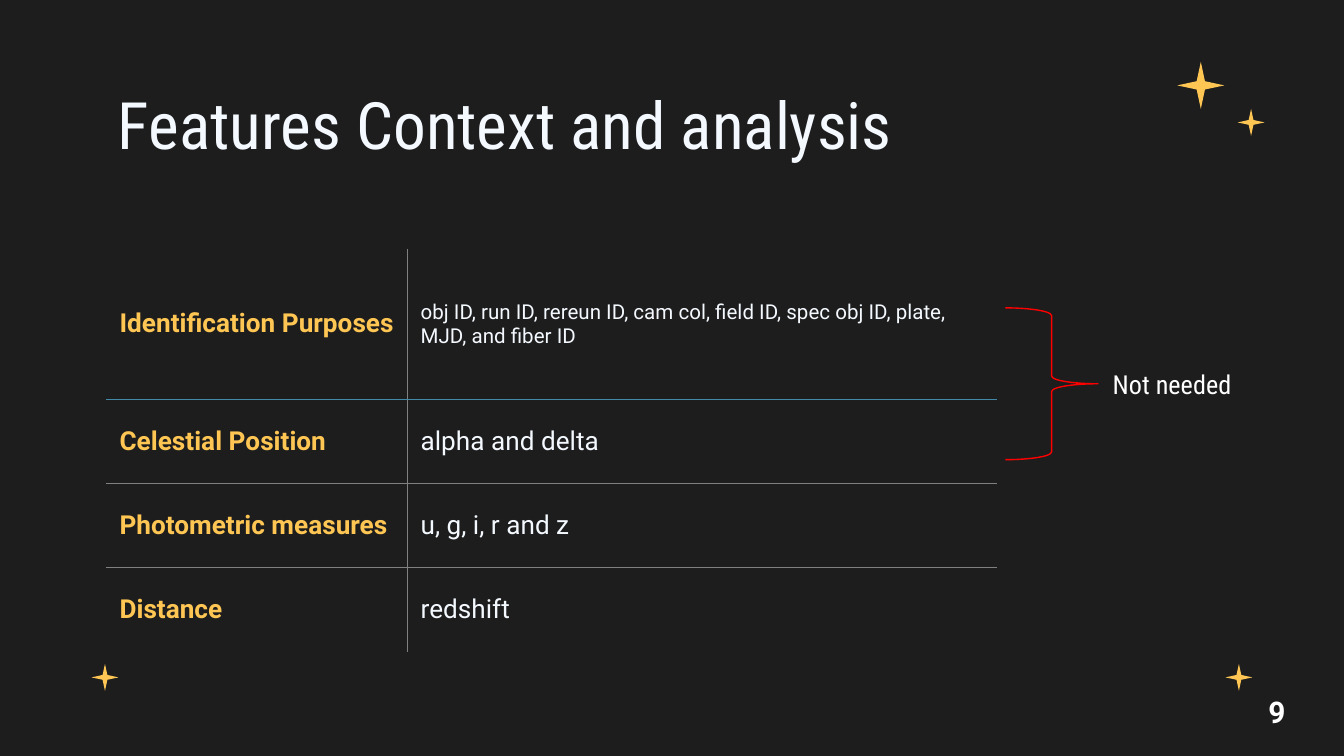
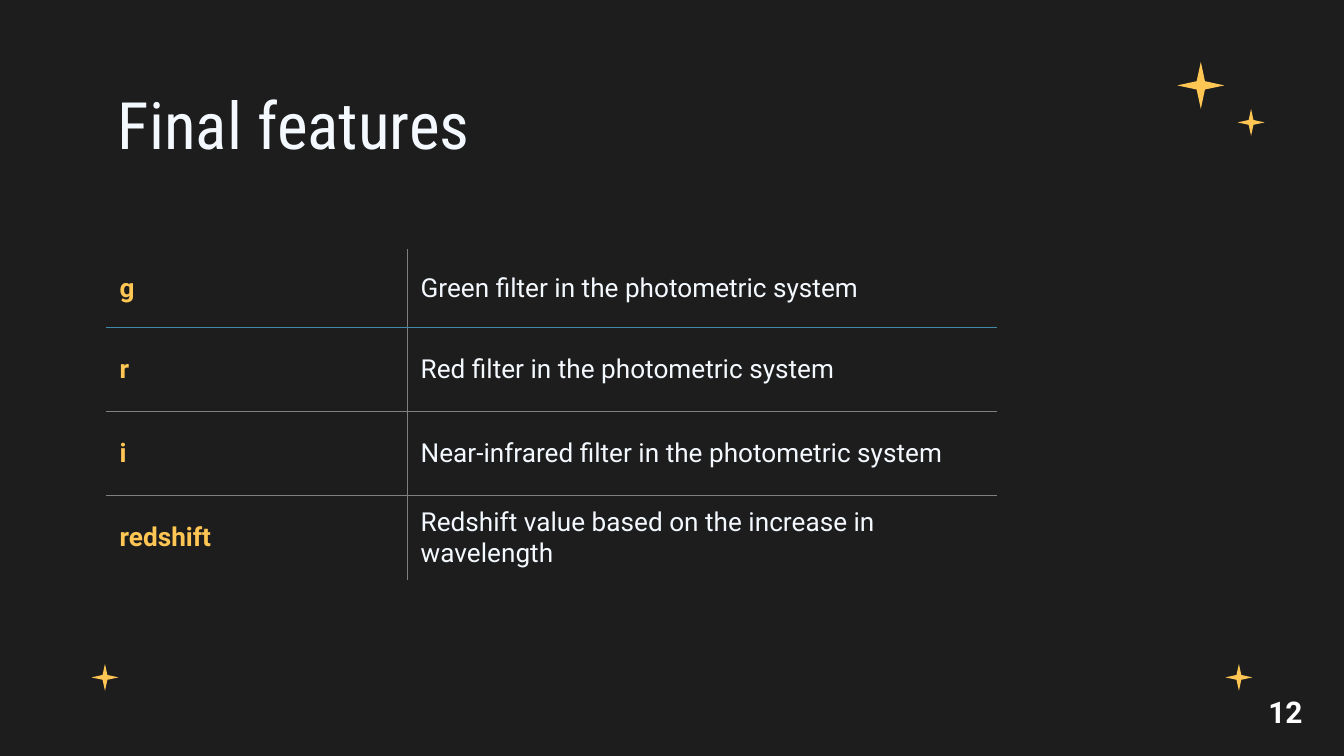
import pptx
import pptx.dml.color
import pptx.enum.shapes
import pptx.enum.text
import pptx.oxml
import pptx.oxml.ns
import pptx.util
from pptx.util import Cm

NIGHT = pptx.dml.color.RGBColor(0x1D, 0x1D, 0x1D)
GOLD = pptx.dml.color.RGBColor(0xFF, 0xC6, 0x54)
PALE = pptx.dml.color.RGBColor(0xF4, 0xF9, 0xFF)
WHITE = pptx.dml.color.RGBColor(0xFF, 0xFF, 0xFF)
RED = pptx.dml.color.RGBColor(0xFF, 0x00, 0x00)
BLUE = pptx.dml.color.RGBColor(0x42, 0x8A, 0xA8)
GREY = pptx.dml.color.RGBColor(0x80, 0x80, 0x80)
BODY = "Roboto"
HEADING = "Roboto Condensed"

STARS = [(1.73, 12.55, 0.51), (23.16, 12.55, 0.51), (22.25, 1.17, 0.89), (23.39, 2.06, 0.51)]

PAGES = [
    ("Features Context and analysis", "9", 2.85, [
        ("Identification Purposes",
         "obj ID, run ID, rereun ID, cam col, field ID, spec obj ID, plate, MJD, and fiber ID", 11),
        ("Celestial Position", "alpha and delta", 14),
        ("Photometric measures", "u, g, i, r and z", 14),
        ("Distance", "redshift", 14),
    ]),
    ("Final features", "12", 1.49, [
        ("g", "Green filter in the photometric system", 14),
        ("r", "Red filter in the photometric system", 14),
        ("i", "Near-infrared filter in the photometric system", 14),
        ("redshift", "Redshift value based on the increase in wavelength", 14),
    ]),
]


def write(frame, text, font, size, color, bold=False):
    frame.word_wrap = True
    paragraph = frame.paragraphs[0]
    paragraph.text = text
    paragraph.font.name = font
    paragraph.font.size = pptx.util.Pt(size)
    paragraph.font.color.rgb = color
    paragraph.font.bold = bold
    return paragraph


def border(cell, side, color):
    fill = f'<a:solidFill><a:srgbClr val="{color}"/></a:solidFill>' if color else "<a:noFill/>"
    cell._tc.get_or_add_tcPr().append(pptx.oxml.parse_xml(
        f'<a:ln{side} {pptx.oxml.ns.nsdecls("a")} w="9525">{fill}</a:ln{side}>'))


deck = pptx.Presentation()
deck.slide_width = Cm(25.4)
deck.slide_height = Cm(14.29)
background = deck.slide_master.background.fill
background.solid()
background.fore_color.rgb = NIGHT

for title, number, first_height, features in PAGES:
    slide = deck.slides.add_slide(deck.slide_layouts[6])

    for left, top, size in STARS:
        star = slide.shapes.add_shape(
            pptx.enum.shapes.MSO_SHAPE.STAR_4_POINT, Cm(left), Cm(top), Cm(size), Cm(size))
        star.adjustments[0] = 0.125
        star.shadow.inherit = False
        star.fill.solid()
        star.fill.fore_color.rgb = GOLD
        star.line.fill.background()

    heading = slide.shapes.add_textbox(Cm(1.98), Cm(1.24), Cm(21.44), Cm(1.6)).text_frame
    heading.margin_top = Cm(0.36)
    write(heading, title, HEADING, 35, PALE)

    table = slide.shapes.add_table(
        len(features), 2, Cm(2.01), Cm(4.7), Cm(16.84), Cm(first_height + 4.77)).table
    table.first_row = False
    table.horz_banding = False
    table.columns[0].width = Cm(5.69)
    table.columns[1].width = Cm(11.15)
    last = len(features) - 1
    for row, (label, detail, detail_size) in enumerate(features):
        table.rows[row].height = Cm(first_height if row == 0 else 1.59)
        above = (None, BLUE)[row] if row < 2 else GREY
        below = BLUE if row == 0 else None if row == last else GREY
        for column in range(2):
            cell = table.cell(row, column)
            cell.vertical_anchor = pptx.enum.text.MSO_ANCHOR.MIDDLE
            cell.margin_left = cell.margin_right = Cm(0.25)
            cell.margin_top = cell.margin_bottom = 0
            border(cell, "L", GREY if column == 1 else None)
            border(cell, "R", GREY if column == 0 else None)
            border(cell, "T", above)
            border(cell, "B", below)
            cell.fill.background()
        write(table.cell(row, 0).text_frame, label, BODY, 14, GOLD, True)
        description = write(table.cell(row, 1).text_frame, detail, BODY, detail_size, PALE)
        description.space_after = pptx.util.Pt(16)

    page_number = slide.shapes.add_textbox(Cm(23.72), Cm(12.98), Cm(1.35), Cm(1.09))
    write(page_number.text_frame, number, BODY, 16, WHITE, True)

features_slide = deck.slides[0]
brace = features_slide.shapes.add_shape(
    pptx.enum.shapes.MSO_SHAPE.RIGHT_BRACE, Cm(19), Cm(5.82), Cm(1.75), Cm(2.87))
brace.shadow.inherit = False
brace.fill.background()
brace.line.color.rgb = RED
brace.line.width = pptx.util.Pt(0.75)

verdict = features_slide.shapes.add_textbox(Cm(20.78), Cm(6.83), Cm(3.33), Cm(0.86)).text_frame
write(verdict, "Not needed", HEADING, 14, WHITE)
verdict.auto_size = pptx.enum.text.MSO_AUTO_SIZE.SHAPE_TO_FIT_TEXT

deck.save("out.pptx")
